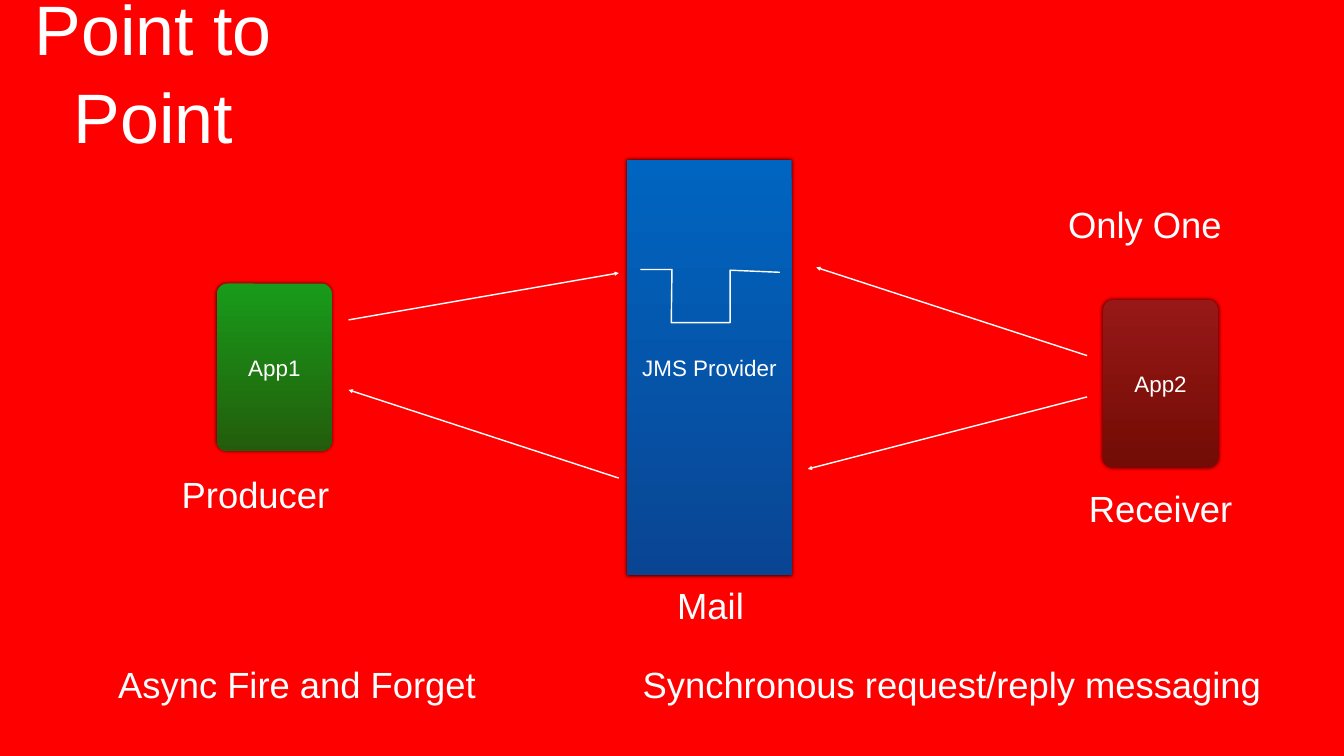
from lxml import etree
from pptx import Presentation
from pptx.dml.color import RGBColor
from pptx.enum.shapes import MSO_CONNECTOR as Connector, MSO_SHAPE as Shape
from pptx.enum.text import MSO_ANCHOR as Anchor, MSO_AUTO_SIZE as AutoSize, PP_ALIGN as Align
from pptx.oxml.ns import qn
from pptx.util import Pt


def color(value):
    return RGBColor.from_string(value)


def write_text(shape, text, size=52, font="Arial", ink="FFFFFF", wrap=True,
               grow=False, spacing=1.0):
    frame = shape.text_frame
    frame.word_wrap = wrap
    frame.auto_size = AutoSize.SHAPE_TO_FIT_TEXT if grow else AutoSize.NONE
    frame.vertical_anchor = Anchor.MIDDLE
    frame.margin_left = frame.margin_right = Pt(4)
    frame.margin_top = frame.margin_bottom = Pt(4)
    paragraph = frame.paragraphs[0]
    paragraph.text = text
    paragraph.alignment = Align.CENTER
    paragraph.line_spacing = spacing
    paragraph.font.size = Pt(size)
    paragraph.font.name = font
    paragraph.font.color.rgb = color(ink)


class Diagram:
    ink = "FFFFFF"
    line_width = 2
    box_size = 32

    def __init__(self, slide, background):
        self.slide = slide
        self.shapes = slide.shapes
        slide.background.fill.solid()
        slide.background.fill.fore_color.rgb = color(background)

    def label(self, text, left, top, width, height=70, **style):
        box = self.shapes.add_textbox(Pt(left), Pt(top), Pt(width), Pt(height))
        write_text(box, text, ink=self.ink, **style)

    def box(self, text, left, top, width, height, top_color, bottom_color, rounding=None):
        kind = Shape.RECTANGLE if rounding is None else Shape.ROUNDED_RECTANGLE
        shape = self.shapes.add_shape(kind, Pt(left), Pt(top), Pt(width), Pt(height))
        if rounding is not None:
            shape.adjustments[0] = rounding
        shape.fill.gradient()
        shape.fill.gradient_angle = 270
        for stop, value in zip(shape.fill.gradient_stops, (top_color, bottom_color)):
            stop.color.rgb = color(value)
        shape.line.fill.background()
        self.glow(shape)
        write_text(shape, text, size=self.box_size, ink=self.ink)

    def glow(self, shape):
        """Soft black shadow on all sides."""
        shape.shadow.inherit = False
        effects = shape._element.spPr.find(qn("a:effectLst"))
        shadow = etree.SubElement(effects, qn("a:outerShdw"), blurRad=str(Pt(6)),
                                  dist="0", dir="18900000", rotWithShape="0")
        black = etree.SubElement(shadow, qn("a:srgbClr"), val="000000")
        etree.SubElement(black, qn("a:alpha"), val="80000")

    def stroke(self, shape):
        shape.line.color.rgb = color(self.ink)
        shape.line.width = Pt(self.line_width)

    def arrow(self, start, end):
        connector = self.shapes.add_connector(Connector.STRAIGHT, *map(Pt, start + end))
        self.stroke(connector)
        etree.SubElement(connector.line._get_or_add_ln(), qn("a:tailEnd"), type="triangle")
        etree.SubElement(connector._element.spPr, qn("a:effectLst"))

    def outline(self, points):
        start, *rest = [(Pt(x), Pt(y)) for x, y in points]
        builder = self.shapes.build_freeform(*start)
        builder.add_line_segments(rest, close=False)
        shape = builder.convert_to_shape()
        shape.fill.background()
        shape.shadow.inherit = False
        self.stroke(shape)


def main():
    presentation = Presentation()
    presentation.slide_width, presentation.slide_height = Pt(1920), Pt(1080)
    slide = presentation.slides.add_slide(presentation.slide_layouts[6])
    diagram = Diagram(slide, "FF0000")

    # Title
    diagram.label("Point to Point", 44, 35, 350, 128, size=100, spacing=1.05)

    # Provider and the two applications
    diagram.box("JMS Provider", 896, 228, 235, 594, "0065C1", "094593")
    for name, left, top, *shades in (("App1", 310, 405, "189B1A", "235D0B"),
                                     ("App2", 1576, 428, "971817", "720C04")):
        diagram.box(name, left, top, 164, 239, *shades, rounding=0.09)

    # Messages
    for start, end in (((498, 457), (884, 390)), ((1553, 508), (1166, 382)),
                       ((884, 683), (498, 557)), ((1553, 567), (1154, 670))):
        diagram.arrow(start, end)

    # Queue symbol
    diagram.outline([(915, 385), (960, 385), (959, 461),
                     (1043, 461), (1043, 386), (1114, 389)])

    # Labels
    for text, left, top, width in (
            ("Producer", 254, 670, 222),
            ("Receiver", 1551, 690, 214),
            ("Only One", 1521, 285, 229),
            ("Async Fire and Forget", 163, 942, 523),
            ("Synchronous request/reply messaging", 909, 942, 902),
            ("Mail", 963, 829, 104)):
        diagram.label(text, left, top, width, wrap=False, grow=True)

    presentation.save("out.pptx")


if __name__ == "__main__":
    main()
